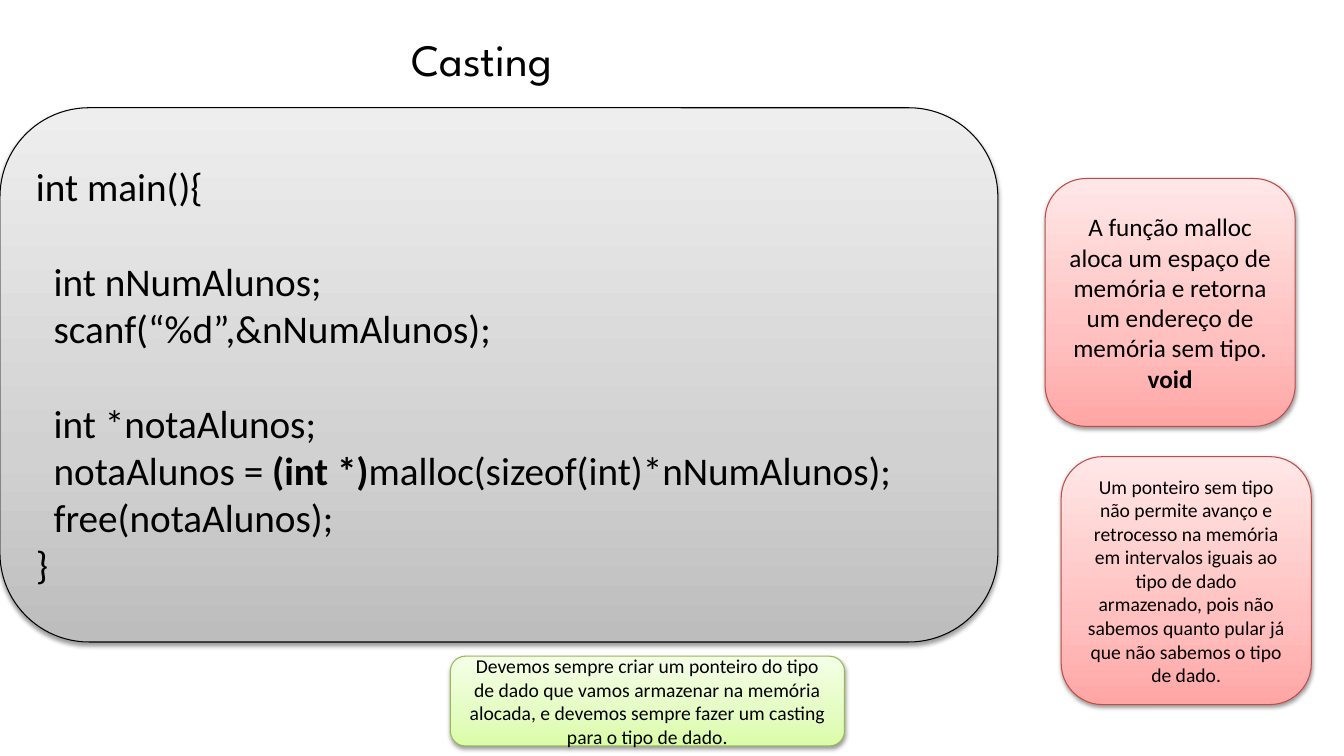
from dataclasses import dataclass

import pptx
import pptx.dml.color
import pptx.enum.shapes
import pptx.enum.text
import pptx.oxml
import pptx.oxml.ns
import pptx.shapes.autoshape
import pptx.slide
import pptx.text.text
import pptx.util

Pt = pptx.util.Pt
RGBColor = pptx.dml.color.RGBColor
Align = pptx.enum.text.PP_ALIGN
Anchor = pptx.enum.text.MSO_ANCHOR

BLACK = RGBColor(0x00, 0x00, 0x00)
RED = RGBColor(0xBF, 0x4C, 0x48)
GREEN = RGBColor(0x98, 0xB9, 0x55)
GREYS = (RGBColor(0xBD, 0xBD, 0xBD), RGBColor(0xD1, 0xD1, 0xD1), RGBColor(0xEE, 0xEE, 0xEE))
PINKS = (RGBColor(0xFF, 0xA6, 0xA5), RGBColor(0xFF, 0xC0, 0xBF), RGBColor(0xFF, 0xE7, 0xE7))
LIMES = (RGBColor(0xDA, 0xFD, 0xA7), RGBColor(0xE4, 0xFC, 0xC2), RGBColor(0xF5, 0xFF, 0xE7))
STOPS = (0, 35, 100)
FONT = "Calibri"
NS = pptx.oxml.ns.nsdecls("a")


@dataclass(frozen=True)
class Run:
    text: str
    bold: bool = False


@dataclass(frozen=True)
class Line:
    runs: tuple[Run, ...]
    gap: float = 0


@dataclass(frozen=True)
class Card:
    left: float
    top: float
    width: float
    height: float
    fill: tuple[RGBColor, ...]
    edge: RGBColor
    size: float
    lines: tuple[Line, ...]
    align: Align = Align.CENTER


GAP = 34  # height of one code line
CODE = (
    Line((Run("int main(){"),)),
    Line((Run("  int nNumAlunos;"),), GAP),
    Line((Run("  scanf(“%d”,&nNumAlunos);"),)),
    Line((Run("  int *notaAlunos;"),), GAP),
    Line((Run("  notaAlunos = "), Run("(int *)", True),
          Run("malloc(sizeof(int)*nNumAlunos);"))),
    Line((Run("  free(notaAlunos);"),)),
    Line((Run("}"),)),
)
VOID = (
    Line((Run("A função malloc aloca um espaço de memória e retorna "
              "um endereço de memória sem tipo."),)),
    Line((Run("void", True),)),
)
STEP = (Line((Run("Um ponteiro sem tipo não permite avanço e retrocesso na memória "
                  "em intervalos iguais ao tipo de dado armazenado, pois não sabemos "
                  "quanto pular já que não sabemos o tipo de dado."),)),)
RULE = (Line((Run("Devemos sempre criar um ponteiro do tipo de dado que vamos armazenar "
                  "na memória alocada, e devemos sempre fazer um casting para o tipo "
                  "de dado."),)),)

CARDS = (
    Card(0, 77, 712.8, 381.6, GREYS, BLACK, 28, CODE, Align.LEFT),
    Card(746.5, 127.5, 178.7, 177.1, PINKS, RED, 18, VOID),
    Card(758, 326.2, 178.7, 177.1, PINKS, RED, 14, STEP),
    Card(321.7, 468.7, 281.5, 64.1, LIMES, GREEN, 14, RULE),
)


def shade(blur: float, dist: float, angle: int, alpha: int):
    """Make an effect list with one black outer shadow."""
    return pptx.oxml.parse_xml(
        f'<a:effectLst {NS}><a:outerShdw blurRad="{Pt(blur)}" dist="{Pt(dist)}" '
        f'dir="{angle * 60000}" rotWithShape="0"><a:srgbClr val="{BLACK}">'
        f'<a:alpha val="{alpha * 1000}"/></a:srgbClr></a:outerShdw></a:effectLst>')


def blend(shape: pptx.shapes.autoshape.Shape, tones: tuple[RGBColor, ...]) -> None:
    """Fill a shape with a gradient that rises from the bottom."""
    marks = "".join(f'<a:gs pos="{stop * 1000}"><a:srgbClr val="{tone}"/></a:gs>'
                    for stop, tone in zip(STOPS, tones))
    grad = pptx.oxml.parse_xml(
        f'<a:gradFill {NS} rotWithShape="1"><a:gsLst>{marks}</a:gsLst>'
        f'<a:lin ang="{270 * 60000}" scaled="0"/></a:gradFill>')
    shape._element.spPr.insert(2, grad)


def write(frame: pptx.text.text.TextFrame, card: Card) -> None:
    """Add the lines of a card run by run."""
    frame.word_wrap = True
    frame.vertical_anchor = Anchor.MIDDLE
    for index, line in enumerate(card.lines):
        para = frame.paragraphs[0] if index == 0 else frame.add_paragraph()
        para.alignment = card.align
        if line.gap:
            para.space_before = Pt(line.gap)
        for part in line.runs:
            run = para.add_run()
            run.text = part.text
            run.font.size = Pt(card.size)
            run.font.bold = part.bold
            run.font.color.rgb = BLACK
            run.font.name = FONT


def draw(slide: pptx.slide.Slide, card: Card) -> None:
    """Draw one rounded card."""
    shape = slide.shapes.add_shape(
        pptx.enum.shapes.MSO_SHAPE.ROUNDED_RECTANGLE,
        Pt(card.left), Pt(card.top), Pt(card.width), Pt(card.height))
    blend(shape, card.fill)
    shape.line.color.rgb = card.edge
    shape.line.width = Pt(0.75)
    shape._element.spPr.append(shade(3.1, 1.6, 90, 38))
    write(shape.text_frame, card)


def head(slide: pptx.slide.Slide) -> None:
    """Place and format the title."""
    title = slide.shapes.title
    title.left, title.top = Pt(0), Pt(11.5)
    title.width, title.height = Pt(688.3), Pt(60.5)
    title.text_frame.vertical_anchor = Anchor.MIDDLE
    para = title.text_frame.paragraphs[0]
    para.alignment = Align.CENTER
    run = para.add_run()
    run.text = "Casting"
    run.font.size = Pt(32)
    run.font.color.rgb = BLACK
    run._r.get_or_add_rPr().append(shade(3, 3, 45, 43))
    run.font.name = "League Spartan"


def main() -> None:
    deck = pptx.Presentation()
    deck.slide_width, deck.slide_height = Pt(960), Pt(540)
    slide = deck.slides.add_slide(deck.slide_layouts.get_by_name("Title Only"))
    # Title
    head(slide)
    # Code and notes
    for card in CARDS:
        draw(slide, card)
    deck.save("out.pptx")


if __name__ == "__main__":
    main()
